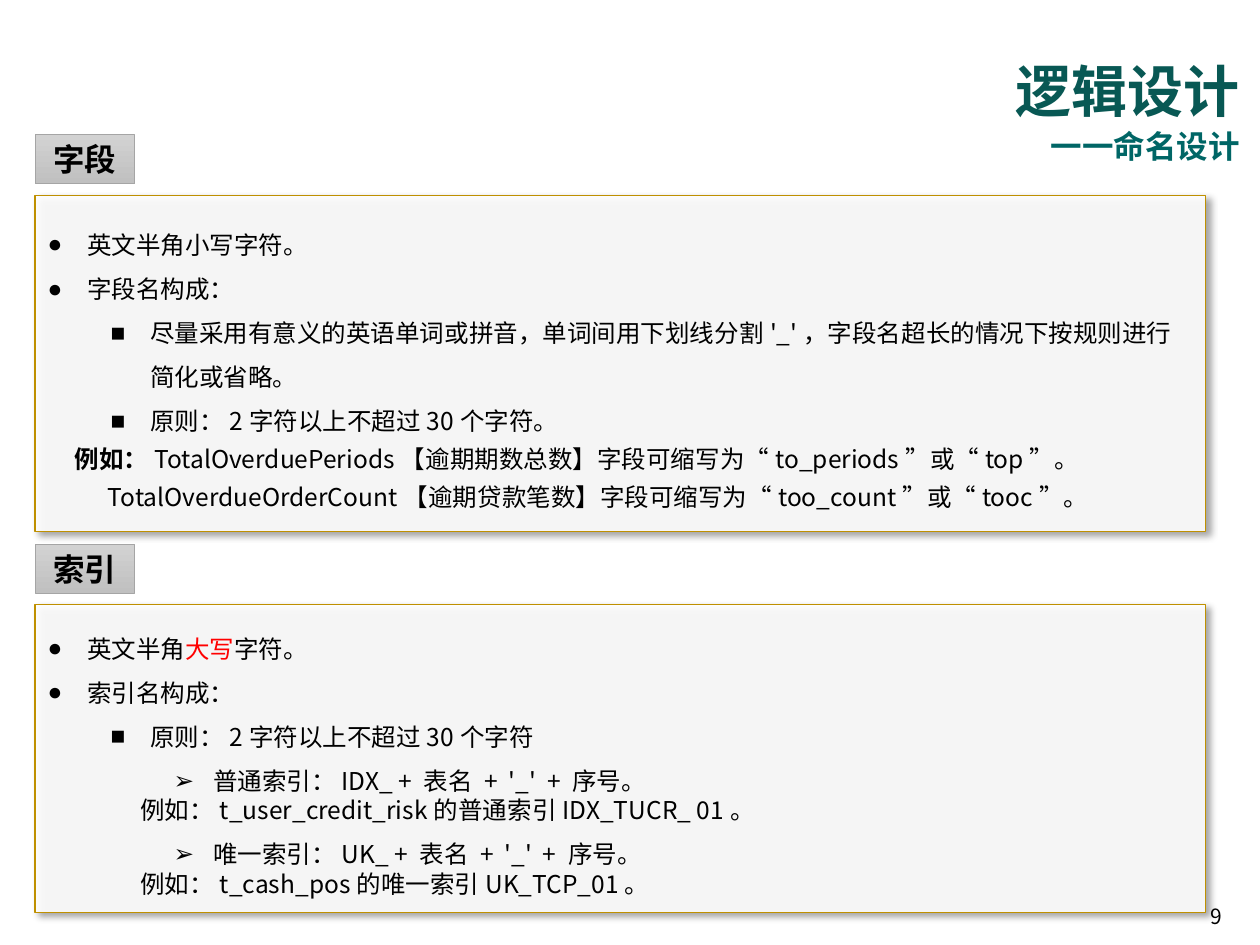
import pptx
import pptx.util
import pptx.dml.color
import pptx.enum.shapes
import pptx.enum.text
import pptx.oxml
import pptx.oxml.ns

Pt = pptx.util.Pt
ALIGN = pptx.enum.text.PP_ALIGN
ANCHOR = pptx.enum.text.MSO_ANCHOR
FONT = "Noto Sans CJK SC"
NAMESPACE = pptx.oxml.ns.nsdecls("a")


def color(value):
    return pptx.dml.color.RGBColor.from_string(value)


def format_run(run, size, value="000000", bold=False, name=FONT):
    run.font.size = Pt(size)
    run.font.bold = bold
    run.font.name = name
    run.font.color.rgb = color(value)
    east_asian = pptx.oxml.parse_xml(f'<a:ea {NAMESPACE} typeface="{FONT}"/>')
    run.font._element.find(pptx.oxml.ns.qn("a:latin")).addnext(east_asian)


presentation = pptx.Presentation()
presentation.slide_width = Pt(720)
presentation.slide_height = Pt(540)
slide = presentation.slides.add_slide(presentation.slide_layouts[3])
title, field_panel, index_panel = list(slide.placeholders)[:3]

title.left, title.top, title.width, title.height = Pt(145.5), Pt(28.8), Pt(570), Pt(67.7)
title_frame = title.text_frame
title_frame.text = "逻辑设计\n一一命名设计"
title_frame.vertical_anchor = ANCHOR.TOP
title_frame.auto_size = pptx.enum.text.MSO_AUTO_SIZE.NONE
title_styles = [(32, "085854", 38.4), (18, "006666", 23.5)]
for paragraph, (size, value, spacing) in zip(title_frame.paragraphs, title_styles):
    paragraph.alignment = ALIGN.RIGHT
    paragraph.line_spacing = Pt(spacing)
    format_run(paragraph.runs[0], size, value, True)

# style: level, left margin, first-line indent, line spacing, bullet
styles = {
    "dot": (1, 22.5, -22.5, 25.2, "●"),
    "square": (1, 58.5, -22.5, 25.2, "■"),
    "arrow": (2, 94.5, -22.5, 25.2, "➢"),
    "example": (0, 15.5, 0, 21.8, None),
    "example_next": (0, 34.5, 0, 21.8, None),
    "index_example": (0, 53, 0, 16.8, None),
}
field_rows = [
    ("dot", ["英文半角小写字符。"]),
    ("dot", ["字段名构成："]),
    ("square", ["尽量采用有意义的英语单词或拼音，单词间用下划线分割'_'，字段名超长的情况下按规则进行简化或省略。"]),
    ("square", ["原则：2字符以上不超过30个字符。"]),
    ("example", ["*例如：", "TotalOverduePeriods【逾期期数总数】字段可缩写为“to_periods”或“top”。"]),
    ("example_next", ["TotalOverdueOrderCount【逾期贷款笔数】字段可缩写为“too_count”或“tooc”。"]),
]
index_rows = [
    ("dot", ["英文半角", "!大写", "字符。"]),
    ("dot", ["索引名构成："]),
    ("square", ["原则：2字符以上不超过30个字符"]),
    ("arrow", ["普通索引：IDX_ + 表名 +  '_'  + 序号。"]),
    ("index_example", ["例如：t_user_credit_risk的普通索引IDX_TUCR_ 01。"]),
    ("arrow", ["唯一索引：UK_ + 表名 +  '_'  + 序号。"]),
    ("index_example", ["例如：t_cash_pos的唯一索引UK_TCP_01。"]),
]
sections = [
    ("字段", 77, field_panel, 111.6, 192.2, field_rows),
    ("索引", 311, index_panel, 345.6, 175.7, index_rows),
]
for heading, heading_top, panel, panel_top, panel_height, rows in sections:
    panel.left, panel.top, panel.width, panel.height = Pt(20), Pt(panel_top), Pt(669), Pt(panel_height)
    panel.fill.solid()
    panel.fill.fore_color.rgb = color("FFFFFF")
    fill_color = panel._element.spPr.find(".//" + pptx.oxml.ns.qn("a:srgbClr"))
    fill_color.append(pptx.oxml.parse_xml(f'<a:alpha {NAMESPACE} val="90000"/>'))
    panel.line.color.rgb = color("BF9000")
    panel.line.width = Pt(0.75)
    panel._element.spPr.append(pptx.oxml.parse_xml(
        f'<a:effectLst {NAMESPACE}><a:outerShdw blurRad="{Pt(4)}" dist="{Pt(3)}" dir="2700000" '
        'algn="tl" rotWithShape="0"><a:srgbClr val="000000"><a:alpha val="40000"/></a:srgbClr>'
        '</a:outerShdw></a:effectLst>'))
    frame = panel.text_frame
    frame.vertical_anchor = ANCHOR.MIDDLE
    frame.auto_size = pptx.enum.text.MSO_AUTO_SIZE.NONE
    for number, (style, parts) in enumerate(rows):
        level, margin, indent, spacing, bullet = styles[style]
        paragraph = frame.add_paragraph() if number else frame.paragraphs[0]
        paragraph.level = level
        paragraph.space_before = Pt(0)
        paragraph.line_spacing = Pt(spacing)
        properties = paragraph._p.get_or_add_pPr()
        properties.set("marL", str(Pt(margin)))
        properties.set("indent", str(Pt(indent)))
        mark = f'<a:buChar {NAMESPACE} char="{bullet}"/>' if bullet else f"<a:buNone {NAMESPACE}/>"
        properties.append(pptx.oxml.parse_xml(mark))
        for part in parts:
            run = paragraph.add_run()
            run.text = part.lstrip("*!")
            format_run(run, 14, "FF0000" if part[0] == "!" else "000000", part[0] == "*")

    label = slide.shapes.add_shape(
        pptx.enum.shapes.MSO_SHAPE.RECTANGLE, Pt(20), Pt(heading_top), Pt(57), Pt(28))
    label.shadow.inherit = False
    label.fill.gradient()
    label.fill.gradient_angle = 270
    for stop, value in zip(label.fill.gradient_stops, ("D2D2D2", "C0C0C0")):
        stop.color.rgb = color(value)
    label.line.color.rgb = color("A5A5A5")
    label.line.width = Pt(0.5)
    label.text_frame.text = heading
    label.text_frame.vertical_anchor = ANCHOR.MIDDLE
    label.text_frame.paragraphs[0].alignment = ALIGN.CENTER
    format_run(label.text_frame.paragraphs[0].runs[0], 18, bold=True, name="Arial")

page_number = slide.shapes.add_textbox(Pt(684.7), Pt(509), Pt(32.4), Pt(28.8))
page_number.text_frame.word_wrap = True
page_number.text_frame.vertical_anchor = ANCHOR.MIDDLE
page_number.text_frame.text = "9"
format_run(page_number.text_frame.paragraphs[0].runs[0], 12)

presentation.save("out.pptx")
